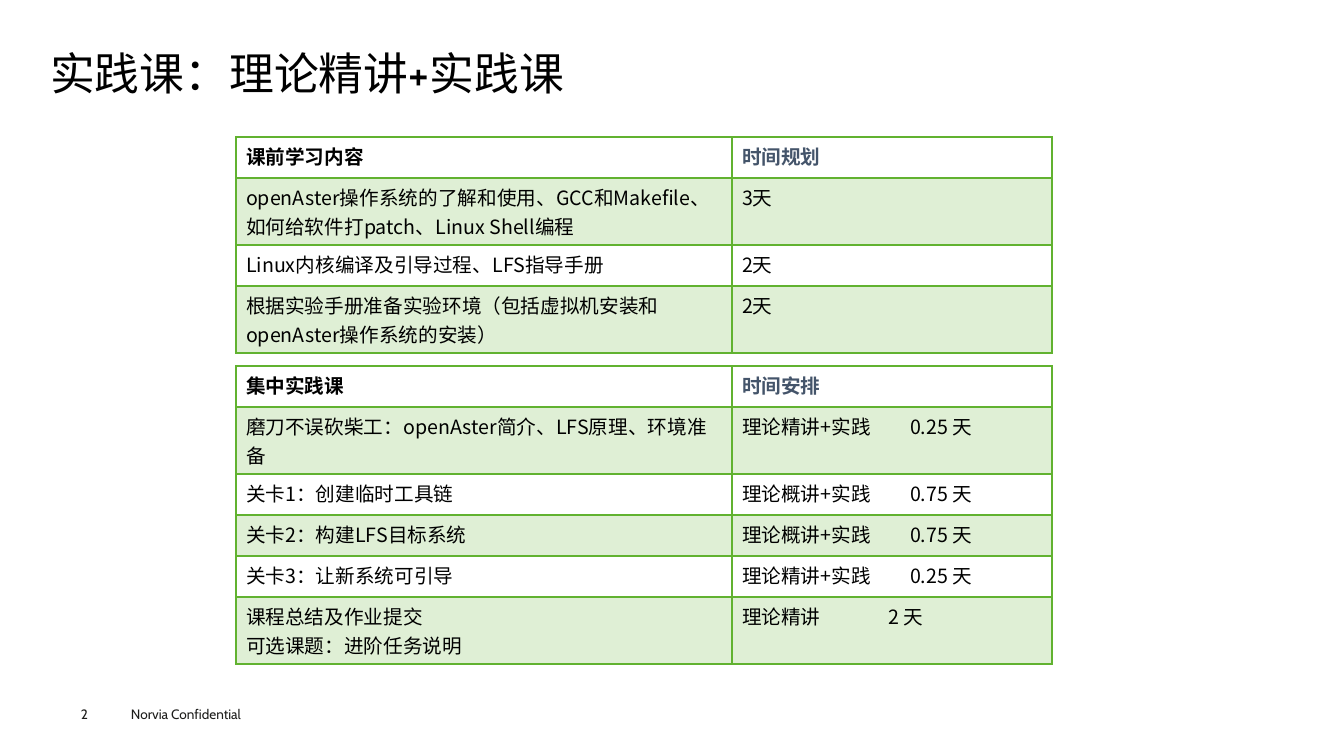
"""Build the practice course schedule slide with two timetables."""
from lxml import etree
from pptx import Presentation
from pptx import util as u
from pptx.dml.color import RGBColor
from pptx.enum import text
from pptx.oxml import ns

PX = 914400 / 100.8
LATIN, CJK = "Cabin", "Noto Sans CJK SC"
BLACK = RGBColor(0x00, 0x00, 0x00)
INK = RGBColor(0x1D, 0x1D, 0x1B)
SLATE = RGBColor(0x44, 0x54, 0x6A)
GREEN = RGBColor(0x61, 0xB2, 0x30)
LEFT, COLUMNS = 236, (496, 320)
LINE_ROW, DOUBLE_ROW = 41, 67
TINT = "20000"

PREPARATION = [
    (LINE_ROW, "课前学习内容", "时间规划"),
    (DOUBLE_ROW, "openAster操作系统的了解和使用、GCC和Makefile、"
     "如何给软件打patch、Linux Shell编程", "3天"),
    (LINE_ROW, "Linux内核编译及引导过程、LFS指导手册", "2天"),
    (DOUBLE_ROW, "根据实验手册准备实验环境（包括虚拟机安装和"
     "openAster操作系统的安装）", "2天"),
]
PRACTICE = [
    (LINE_ROW, "集中实践课", "时间安排"),
    (DOUBLE_ROW, "磨刀不误砍柴工：openAster简介、LFS原理、环境准备",
     "理论精讲+实践\t0.25 天"),
    (LINE_ROW, "关卡1：创建临时工具链", "理论概讲+实践\t0.75 天"),
    (LINE_ROW, "关卡2：构建LFS目标系统", "理论概讲+实践\t0.75 天"),
    (LINE_ROW, "关卡3：让新系统可引导", "理论精讲+实践\t0.25 天"),
    (DOUBLE_ROW, "课程总结及作业提交\n可选课题：进阶任务说明", "理论精讲\t2 天"),
]
WIDE_TAB, SHORT_TAB = 168, 146


def px(n):
    """Turn pixels into EMU."""
    return u.Emu(round(n * PX))


def sub(parent, tag, **attrs):
    """Append a DrawingML element to its parent."""
    return etree.SubElement(parent, ns.qn(tag), attrs)


class Deck:
    """Hold the style and the current slide."""

    def __init__(self):
        """Start a presentation with one title slide."""
        self.prs = Presentation()
        self.prs.slide_width, self.prs.slide_height = px(1344), px(756)
        self.s = self.prs.slides.add_slide(self.prs.slide_layouts[5])

    def style(self, tf, size, color, font=LATIN, bold=False):
        """Format every run of a text frame."""
        for p in tf.paragraphs:
            p.alignment = text.PP_ALIGN.LEFT
            for r in p.runs:
                r.font.size, r.font.bold, r.font.name = u.Pt(size), bold, font
                r.font.color.rgb = color
                sub(r.font._element, "a:ea", typeface=CJK)

    def no_insets(self, tf):
        """Remove the inner margins of a text frame."""
        tf.margin_left = tf.margin_top = tf.margin_right = tf.margin_bottom = 0

    def title(self, x, y, w, h, words):
        """Fill and place the title placeholder."""
        sp = self.s.shapes.title
        sp.left, sp.top, sp.width, sp.height = map(px, (x, y, w, h))
        tf = sp.text_frame
        tf.text = words
        tf.auto_size = text.MSO_AUTO_SIZE.NONE
        tf.vertical_anchor = text.MSO_ANCHOR.MIDDLE
        self.no_insets(tf)
        tf.paragraphs[0].line_spacing = 0.9
        self.style(tf, 32, BLACK)

    def label(self, x, y, w, h, words, inset=True):
        """Add a small footer text."""
        tf = self.s.shapes.add_textbox(*map(px, (x, y, w, h))).text_frame
        tf.text, tf.word_wrap = words, True
        if not inset:
            self.no_insets(tf)
        self.style(tf, 9.7, INK)

    def border(self, cell, side, points):
        """Draw one green edge of a cell."""
        ln = sub(cell._tc.get_or_add_tcPr(), "a:ln" + side, w=str(u.Pt(points)))
        sub(sub(ln, "a:solidFill"), "a:srgbClr", val=str(GREEN))

    def tab_stop(self, p):
        """Align the duration that follows the tab."""
        stop = WIDE_TAB if "+" in p.text else SHORT_TAB
        tabs = sub(p._p.get_or_add_pPr(), "a:tabLst")
        sub(tabs, "a:tab", pos=str(px(stop)), algn="l")

    def cell(self, cell, words, row, col):
        """Fill one timetable cell."""
        tf = cell.text_frame
        tf.text = words
        header = row == 0
        self.style(tf, 14, SLATE if header and col else BLACK, CJK, header)
        if "\t" in words:
            self.tab_stop(tf.paragraphs[0])
        heavy = {0: "B", 1: "T"}.get(row)
        for side in "LRTB":
            self.border(cell, side, 2 if side == heavy else 1)
        if row % 2:
            cell.fill.solid()
            cell.fill.fore_color.rgb = GREEN
            fill = cell._tc.tcPr.find(ns.qn("a:solidFill"))
            sub(fill[0], "a:alpha", val=TINT)
        else:
            cell.fill.background()

    def timetable(self, y, rows):
        """Add a two-column timetable."""
        height = sum(row[0] for row in rows)
        table = self.s.shapes.add_table(len(rows), len(COLUMNS), px(LEFT), px(y),
                                        px(sum(COLUMNS)), px(height)).table
        table.horz_banding = table.first_row = False
        for column, width in zip(table.columns, COLUMNS):
            column.width = px(width)
        for i, (height, *entries) in enumerate(rows):
            table.rows[i].height = px(height)
            for j, words in enumerate(entries):
                self.cell(table.cell(i, j), words, i, j)


deck = Deck()
deck.label(121, 701, 161, 27, "Norvia Confidential")
deck.label(81, 706, 55, 16, "2", inset=False)
deck.title(50, 49, 1245, 54, "实践课：理论精讲+实践课")
deck.timetable(137, PREPARATION)
deck.timetable(366, PRACTICE)
deck.prs.save("out.pptx")
